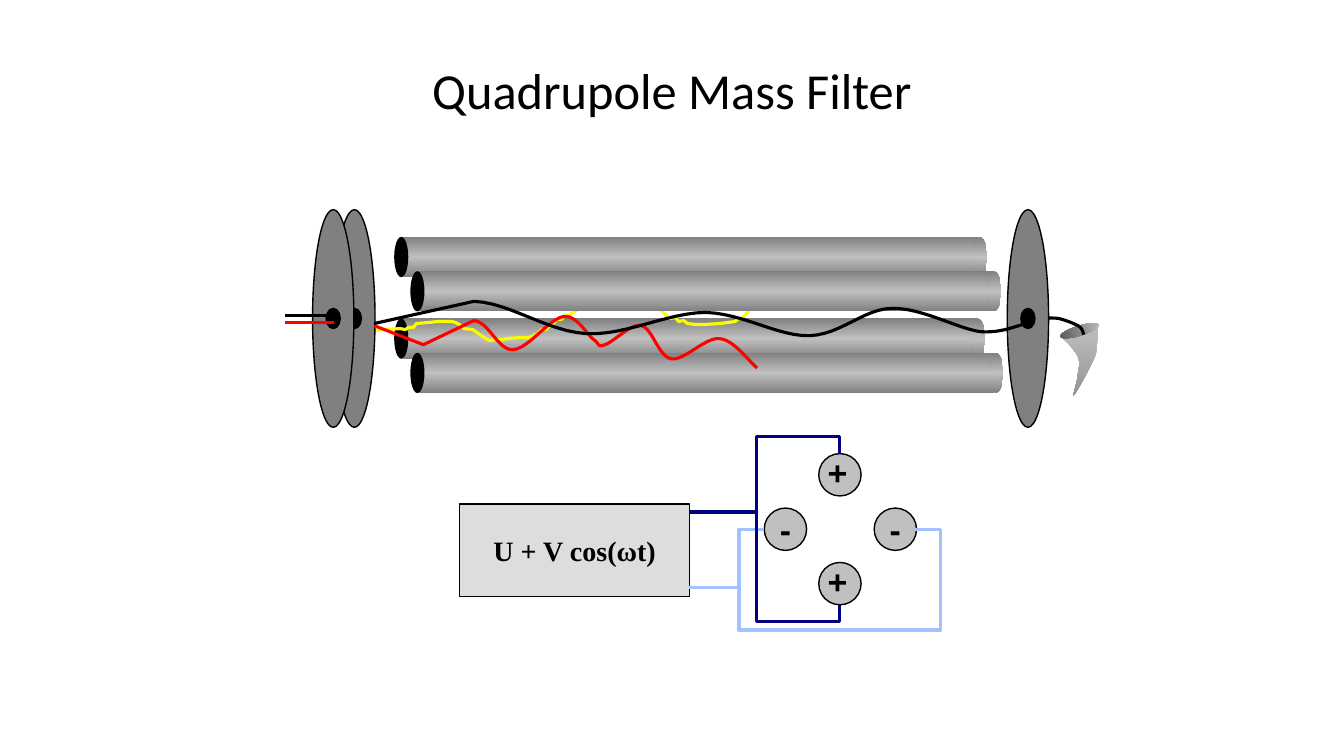
import pptx
import pptx.util
import pptx.dml.color
import pptx.enum.shapes
import pptx.enum.text
import pptx.oxml
import pptx.oxml.ns
from pptx.util import Inches

RGBColor = pptx.dml.color.RGBColor
SHAPE = pptx.enum.shapes.MSO_SHAPE

BLACK = RGBColor(0x00, 0x00, 0x00)
RED = RGBColor(0xFF, 0x00, 0x00)
YELLOW = RGBColor(0xFA, 0xFD, 0x00)
NAVY = RGBColor(0x00, 0x00, 0x80)
LIGHT_BLUE = RGBColor(0xA2, 0xC1, 0xFE)
PALE_GRAY = RGBColor(0xDD, 0xDD, 0xDD)
SILVER = RGBColor(0xC0, 0xC0, 0xC0)
STEEL = RGBColor(0x94, 0x94, 0x94)
GRAY = RGBColor(0x80, 0x80, 0x80)
DARK_GRAY = RGBColor(0x55, 0x55, 0x55)
ROD_SHADES = (GRAY, SILVER, GRAY)

CURVE_STEPS = 12

# Ion paths: a pair is a straight step, six numbers are a Bezier step
YELLOW_PATH = [
    (3.64, 3.28), (3.97, 3.26), (4.02, 3.27), (4.05, 3.25), (4.1, 3.25), (4.13, 3.21),
    (4.24, 3.2), (4.35, 3.19), (4.48, 3.19), (4.52, 3.2), (4.57, 3.23), (4.6, 3.26),
    (4.69, 3.27), (4.73, 3.3), (4.82, 3.36), (4.86, 3.38), (4.9, 3.37), (4.99, 3.37),
    (5.02, 3.36), (5.15, 3.35), (5.25, 3.35), (5.33, 3.31), (5.37, 3.27), (5.42, 3.27),
    (5.45, 3.23), (5.49, 3.21), (5.52, 3.17), (5.57, 3.17), (5.6, 3.13), (5.65, 3.13),
    (5.68, 3.1), (5.81, 3.03), (5.92, 2.99), (6.13, 2.98), (6.33, 2.96), (6.48, 3.05),
    (6.56, 3.08), (6.61, 3.13), (6.65, 3.16), (6.7, 3.15), (6.73, 3.19), (6.78, 3.18),
    (6.82, 3.21), (6.9, 3.22), (6.98, 3.22), (7.14, 3.21), (7.29, 3.19), (7.33, 3.16),
    (7.37, 3.15), (7.43, 3.08), (7.54, 2.99), (7.64, 2.9), (7.82, 2.8), (7.9, 2.76)]
RED_PATH = [
    (3.71, 3.23), (4.2, 3.42), (4.7, 3.18),
    (4.85, 3.19, 4.94, 3.48, 5.09, 3.47), (5.24, 3.46, 5.45, 3.16, 5.59, 3.14),
    (5.72, 3.12, 5.82, 3.32, 5.89, 3.37), (5.95, 3.41, 5.92, 3.45, 6, 3.42),
    (6.08, 3.4, 6.25, 3.21, 6.36, 3.23), (6.47, 3.25, 6.53, 3.54, 6.66, 3.56),
    (6.79, 3.58, 7, 3.34, 7.14, 3.36), (7.28, 3.37, 7.43, 3.59, 7.51, 3.65)]
BLACK_PATH = [
    (3.71, 3.21), (4.7, 2.99),
    (5.05, 3, 5.43, 3.29, 5.82, 3.31), (6.2, 3.33, 6.63, 3.1, 7, 3.1),
    (7.37, 3.11, 7.72, 3.34, 8.03, 3.33), (8.34, 3.32, 8.57, 3.06, 8.85, 3.06),
    (9.13, 3.05, 9.5, 3.26, 9.72, 3.29), (9.94, 3.31, 10.1, 3.22, 10.19, 3.21)]
EXIT_PATH = [
    (10.26, 3.16), (10.3, 3.16, 10.43, 3.15, 10.5, 3.16),
    (10.58, 3.18, 10.65, 3.21, 10.69, 3.23), (10.74, 3.26, 10.74, 3.3, 10.75, 3.32)]
HORN_PATH = [
    (10.52, 3.34), (10.9, 3.22), (10.87, 3.51),
    (10.83, 3.62, 10.68, 3.89, 10.65, 3.92), (10.63, 3.96, 10.69, 3.77, 10.69, 3.71),
    (10.7, 3.65, 10.71, 3.61, 10.7, 3.57), (10.69, 3.52, 10.66, 3.49, 10.63, 3.45),
    (10.6, 3.41, 10.54, 3.36, 10.52, 3.34)]

# Wires of the supply
LIGHT_WIRE = [(9.08, 5.25), (9.33, 5.25), (9.33, 6.25), (7.33, 6.25), (7.33, 5.25), (7.58, 5.25)]
NAVY_WIRE = [(8.33, 4.5), (8.33, 4.33), (7.5, 4.33), (7.5, 6.17), (8.33, 6.17), (8.33, 6)]


def set_gradient(shape, colors):
    """Fill a shape from top to bottom with evenly spaced colours."""
    shape.fill.gradient()
    shape.fill.gradient_angle = 270
    stops = shape._element.spPr.find(".//" + pptx.oxml.ns.qn("a:gsLst"))
    for stop in list(stops):
        stops.remove(stop)
    for index, color in enumerate(colors):
        position = index * 100000 // (len(colors) - 1)
        stops.append(pptx.oxml.parse_xml(
            f'<a:gs {pptx.oxml.ns.nsdecls("a")} pos="{position}">'
            f'<a:srgbClr val="{color}"/></a:gs>'))


def paint(shape, fill=None, line=None, width=1):
    shape.shadow.inherit = False
    if fill is None:
        shape.fill.background()
    elif isinstance(fill, tuple) and not isinstance(fill, RGBColor):
        set_gradient(shape, fill)
    else:
        shape.fill.solid()
        shape.fill.fore_color.rgb = fill
    if line is None:
        shape.line.fill.background()
    else:
        shape.line.color.rgb = line
        shape.line.width = pptx.util.Pt(width)


def add_block(slide, kind, left, top, width, height, fill, line=None):
    shape = slide.shapes.add_shape(kind, Inches(left), Inches(top), Inches(width), Inches(height))
    paint(shape, fill, line)
    return shape


def set_text(shape, text, font, size, bold=False):
    frame = shape.text_frame
    frame.word_wrap = False
    frame.vertical_anchor = pptx.enum.text.MSO_ANCHOR.MIDDLE
    paragraph = frame.paragraphs[0]
    paragraph.text = text
    paragraph.alignment = pptx.enum.text.PP_ALIGN.CENTER
    paragraph.font.name = font
    paragraph.font.size = pptx.util.Pt(size)
    paragraph.font.bold = bold
    paragraph.font.color.rgb = BLACK


def flatten(steps):
    """Turn straight and Bezier steps into points."""
    points = [steps[0]]
    for step in steps[1:]:
        if len(step) == 2:
            points.append(step)
            continue
        x0, y0 = points[-1]
        x1, y1, x2, y2, x3, y3 = step
        for index in range(1, CURVE_STEPS + 1):
            t = index / CURVE_STEPS
            a, b, c, d = (1 - t) ** 3, 3 * t * (1 - t) ** 2, 3 * t * t * (1 - t), t ** 3
            points.append((a * x0 + b * x1 + c * x2 + d * x3, a * y0 + b * y1 + c * y2 + d * y3))
    return points


def add_path(slide, steps, line=None, fill=None):
    points = [(Inches(x), Inches(y)) for x, y in flatten(steps)]
    builder = slide.shapes.build_freeform(*points[0])
    builder.add_line_segments(points[1:], close=fill is not None)
    paint(builder.convert_to_shape(), fill, line, 2.25)


def add_line(slide, start_x, end_x, y, color):
    line = slide.shapes.add_connector(
        pptx.enum.shapes.MSO_CONNECTOR.STRAIGHT, Inches(start_x), Inches(y), Inches(end_x), Inches(y))
    line.line.color.rgb = color
    line.line.width = pptx.util.Pt(2.25)
    line._element.spPr.append(pptx.oxml.parse_xml(f'<a:effectLst {pptx.oxml.ns.nsdecls("a")}/>'))


def add_rod(slide, left, top, far_cap_left):
    add_block(slide, SHAPE.RECTANGLE, left, top, 5.7, 0.4, ROD_SHADES)
    add_block(slide, SHAPE.OVAL, left - 0.09, top, 0.14, 0.4, BLACK)
    add_block(slide, SHAPE.OVAL, far_cap_left, top, 0.14, 0.4, ROD_SHADES)


def add_disc(slide, left):
    add_block(slide, SHAPE.OVAL, left, 2.08, 0.41, 2.16, GRAY, BLACK)
    add_block(slide, SHAPE.OVAL, left + 0.135, 3.06, 0.14, 0.2, BLACK, BLACK)


def add_pole(slide, left, top, sign, rotation=0):
    pole = add_block(slide, SHAPE.OVAL, left, top, 0.42, 0.42, SILVER, BLACK)
    pole.rotation = rotation
    set_text(pole, sign, "Arial", 24, bold=True)


def main():
    presentation = pptx.Presentation()
    presentation.slide_width = Inches(13.33)
    presentation.slide_height = Inches(7.5)
    slide = presentation.slides.add_slide(presentation.slide_layouts[6])

    # Title
    title = slide.shapes.add_textbox(Inches(1.63), Inches(0.26), Inches(10.07), Inches(1.25))
    set_text(title, "Quadrupole Mass Filter", "Calibri", 36)
    title.text_frame.word_wrap = True

    # Rods, entrance discs and ion paths, from back to front
    add_rod(slide, 4, 3.16, 9.63)
    add_rod(slide, 4, 2.35, 9.65)
    add_rod(slide, 4.16, 3.5, 9.81)
    add_path(slide, YELLOW_PATH, YELLOW)
    add_disc(slide, 3.31)
    add_disc(slide, 3.1)
    add_rod(slide, 4.16, 2.69, 9.79)
    add_path(slide, RED_PATH, RED)
    add_line(slide, 3.31, 2.83, 3.13, BLACK)
    add_line(slide, 3.31, 2.83, 3.2, RED)

    # Poles, wires and voltage supply
    add_pole(slide, 8.67, 5.04, "-")
    add_pole(slide, 7.58, 5.04, "-")
    add_pole(slide, 8.12, 5.58, "+", 90)
    add_pole(slide, 8.12, 4.5, "+", 90)
    add_path(slide, LIGHT_WIRE, LIGHT_BLUE)
    add_path(slide, NAVY_WIRE, NAVY)
    supply = add_block(slide, SHAPE.RECTANGLE, 4.56, 5, 2.28, 0.92, PALE_GRAY, BLACK)
    set_text(supply, "U + V cos(ωt)", "Times New Roman", 20, bold=True)
    add_line(slide, 6.83, 7.5, 5.08, NAVY)
    add_line(slide, 6.83, 7.33, 5.83, LIGHT_BLUE)

    # Detector horn and exit disc
    add_path(slide, HORN_PATH, fill=(SILVER, STEEL))
    mouth = add_block(slide, SHAPE.OVAL, 10.66, 3.08, 0.1, 0.4, (SILVER, DARK_GRAY))
    mouth.rotation = 72.8
    add_path(slide, EXIT_PATH, BLACK)
    add_disc(slide, 9.99)
    add_path(slide, BLACK_PATH, BLACK)

    presentation.save("out.pptx")


if __name__ == "__main__":
    main()
